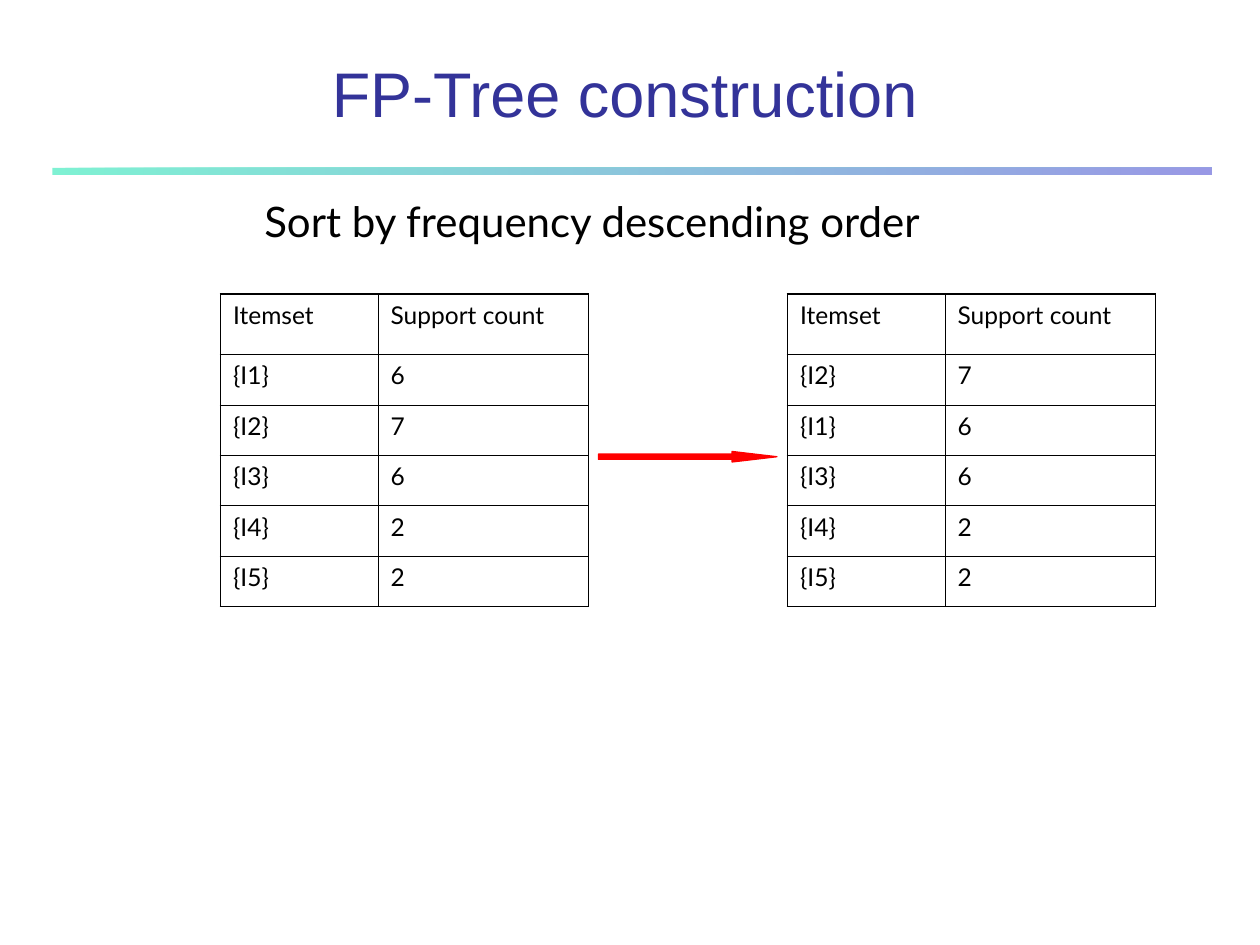
from lxml.etree import SubElement
from pptx import Presentation
from pptx.dml.color import RGBColor
from pptx.enum.shapes import MSO_SHAPE as Preset
from pptx.enum.text import MSO_ANCHOR as Anchor, PP_ALIGN as Align
from pptx.oxml.ns import qn
from pptx.util import Inches, Pt

BLACK = RGBColor(0, 0, 0)
NAVY = RGBColor(0x33, 0x33, 0x99)
RED = RGBColor(0xFF, 0, 0)
MINT = RGBColor(0, 0xE4, 0xA8)
INDIGO = RGBColor(0x33, 0x33, 0xCC)

WIDTH, HEIGHT = Inches(10), Inches(7.5)
COLUMNS, ROWS = 120, 90  # twelve grid units to the inch
OUTER, INNER = 1.08, 0.45  # border widths in points

HEADER = ("Itemset", "Support count")
UNSORTED = [("{I1}", 6), ("{I2}", 7), ("{I3}", 6), ("{I4}", 2), ("{I5}", 2)]
SORTED = sorted(UNSORTED, key=lambda entry: -entry[1])


def grid(column, row, columns, rows):
    """Turn grid units into left, top, width and height."""
    return (int(WIDTH * column / COLUMNS), int(HEIGHT * row / ROWS),
            int(WIDTH * columns / COLUMNS), int(HEIGHT * rows / ROWS))


def write(frame, text, size, font="Lato", color=BLACK, align=Align.LEFT, anchor=Anchor.TOP):
    frame.word_wrap = True
    frame.vertical_anchor = anchor
    paragraph = frame.paragraphs[0]
    paragraph.text = text
    paragraph.alignment = align
    paragraph.font.size = Pt(size)
    paragraph.font.name = font
    paragraph.font.color.rgb = color


def add_text(slide, place, text, **style):
    write(slide.shapes.add_textbox(*grid(*place)).text_frame, text, **style)


def add_preset(slide, preset, place):
    shape = slide.shapes.add_shape(preset, *grid(*place))
    shape.shadow.inherit = False
    return shape


def add_title_rule(slide):
    rule = add_preset(slide, Preset.RECTANGLE, (5, 16, 110.4, 0.65))
    rule.line.fill.background()
    rule.fill.gradient()
    rule.fill.gradient_angle = 0
    for stop, color in zip(rule.fill.gradient_stops, (MINT, INDIGO)):
        stop.color.rgb = color
    for color in rule.element.spPr.iter(qn("a:srgbClr")):
        SubElement(color, qn("a:alpha"), val="50000")


def add_arrow(slide):
    arrow = add_preset(slide, Preset.RIGHT_ARROW, (57, 43, 17, 1))
    arrow.adjustments[1] = 4.26
    arrow.fill.solid()
    arrow.fill.fore_color.rgb = RED
    arrow.line.color.rgb = RED
    arrow.line.width = Pt(0.75)


def set_borders(cell, **widths):
    properties = cell._tc.get_or_add_tcPr()
    for side, width in widths.items():
        line = SubElement(properties, qn(f"a:ln{side}"), w=str(Pt(width)))
        fill = SubElement(line, qn("a:solidFill"))
        SubElement(fill, qn("a:srgbClr"), val=str(BLACK))


def add_support_table(slide, column, entries):
    rows = [HEADER, *entries]
    frame = slide.shapes.add_table(len(rows), 2, *grid(column, 28, 35, 29.9))
    table = frame.table
    table.first_row = table.horz_banding = False
    table.columns[0].width, table.columns[1].width = Inches(1.25), Inches(1.67)
    for r, row in enumerate(rows):
        table.rows[r].height = Inches(0.4 if r else 0.48)
        for c, value in enumerate(row):
            cell = table.cell(r, c)
            write(cell.text_frame, str(value), size=14)
            set_borders(cell,
                        L=INNER if c else OUTER,
                        R=OUTER if c else INNER,
                        T=INNER if r else OUTER,
                        B=OUTER if r == len(rows) - 1 else INNER)
            cell.fill.background()


def main():
    presentation = Presentation()
    presentation.slide_width, presentation.slide_height = WIDTH, HEIGHT
    slide = presentation.slides.add_slide(presentation.slide_layouts[6])
    add_title_rule(slide)
    add_support_table(slide, 21, UNSORTED)
    add_support_table(slide, 75, SORTED)
    add_arrow(slide)
    add_text(slide, (24, 18, 79, 6), "Sort by frequency descending order", size=24)
    add_text(slide, (5, 5, 109, 8), "FP-Tree construction", size=36, font="Arial",
             color=NAVY, align=Align.CENTER, anchor=Anchor.BOTTOM)
    presentation.save("out.pptx")


if __name__ == "__main__":
    main()
